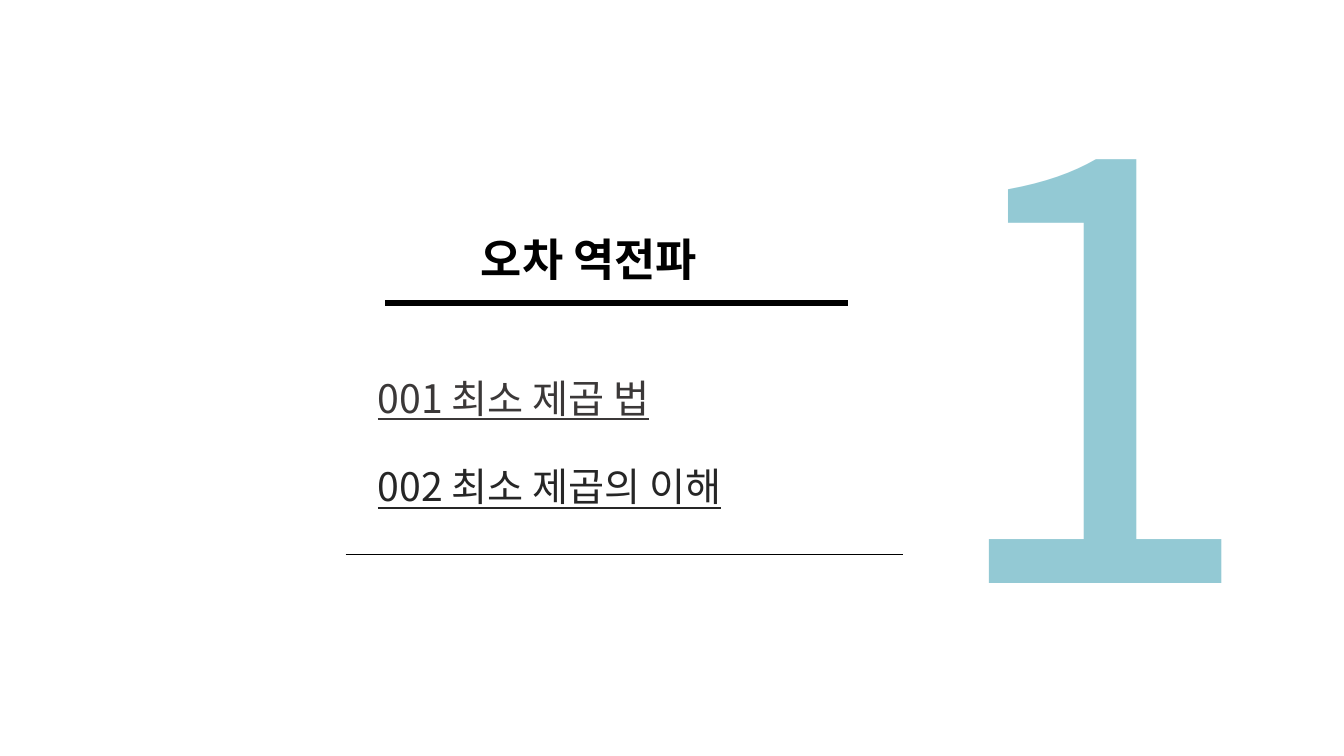
from dataclasses import dataclass

from lxml import etree
from pptx import Presentation
from pptx.dml.color import RGBColor
from pptx.enum import shapes, text
from pptx.oxml import ns
from pptx.util import Pt

FONT = "Noto Sans CJK KR"
BLACK = RGBColor(0x00, 0x00, 0x00)
SKY = RGBColor(0x93, 0xC9, 0xD4)
GRAY = RGBColor(0x3B, 0x38, 0x38)
CHARCOAL = RGBColor(0x26, 0x26, 0x26)


@dataclass
class Rule:
    left: float
    right: float
    y: float
    weight: float


@dataclass
class Topic:
    label: str
    top: float
    width: float
    color: RGBColor


RULES = [Rule(275.04, 605.52, 216.72, 4.25), Rule(246.96, 645.12, 396, 0.25)]
TOPICS = [
    Topic("001 최소 제곱 법", 263.52, 232.56, GRAY),
    Topic("002 최소 제곱의 이해", 326.88, 288.72, CHARCOAL),
]


def write(box, content: str, *, left: float, top: float, width: float,
          height: float, size: float, color: RGBColor,
          bold: bool = False, underline: bool = False) -> None:
    """Place a text holder and fill it with one formatted line."""
    box.left, box.top = Pt(left), Pt(top)
    box.width, box.height = Pt(width), Pt(height)
    frame = box.text_frame
    frame.word_wrap = False
    frame.auto_size = text.MSO_AUTO_SIZE.SHAPE_TO_FIT_TEXT
    frame.vertical_anchor = text.MSO_ANCHOR.TOP

    line = frame.paragraphs[0]
    line.alignment = text.PP_ALIGN.LEFT
    line.space_before = line.space_after = Pt(0)
    run = line.add_run()
    run.text = content
    font = run.font
    font.name, font.size, font.bold = FONT, Pt(size), bold
    font.underline = underline
    font.color.rgb = color

    # East Asian typeface, and no inherited bullet or indent
    latin = run._r.get_or_add_rPr().find(ns.qn("a:latin"))
    east_asian = etree.Element(ns.qn("a:ea"), typeface=FONT)
    latin.addnext(east_asian)
    properties = line._p.get_or_add_pPr()
    properties.set("marL", "0")
    properties.set("indent", "0")
    etree.SubElement(properties, ns.qn("a:buNone"))


def draw_rule(slide, rule: Rule) -> None:
    line = slide.shapes.add_connector(
        shapes.MSO_CONNECTOR.STRAIGHT,
        Pt(rule.left), Pt(rule.y), Pt(rule.right), Pt(rule.y))
    line.line.color.rgb = BLACK
    line.line.width = Pt(rule.weight)
    etree.SubElement(line._element.spPr, ns.qn("a:effectLst"))


def main() -> None:
    deck = Presentation()
    deck.slide_width, deck.slide_height = Pt(960), Pt(540)
    slide = deck.slides.add_slide(deck.slide_layouts.get_by_name("Two Content"))
    heading, *entries = slide.placeholders

    # Chapter number
    chapter = slide.shapes.add_textbox(0, 0, 0, 0)
    write(chapter, "1", left=663.12, top=0, width=275.04, height=507.6,
          size=413, color=SKY)

    # Dividing rules
    for rule in RULES:
        draw_rule(slide, rule)

    # Chapter title and its topics
    write(heading, "오차 역전파", left=336.24, top=162, width=187.2,
          height=46.08, size=32, color=BLACK, bold=True)
    for entry, topic in zip(entries, TOPICS):
        write(entry, topic.label, left=262.8, top=topic.top,
              width=topic.width, height=41.04, size=28, color=topic.color,
              underline=True)

    deck.save("out.pptx")


if __name__ == "__main__":
    main()
